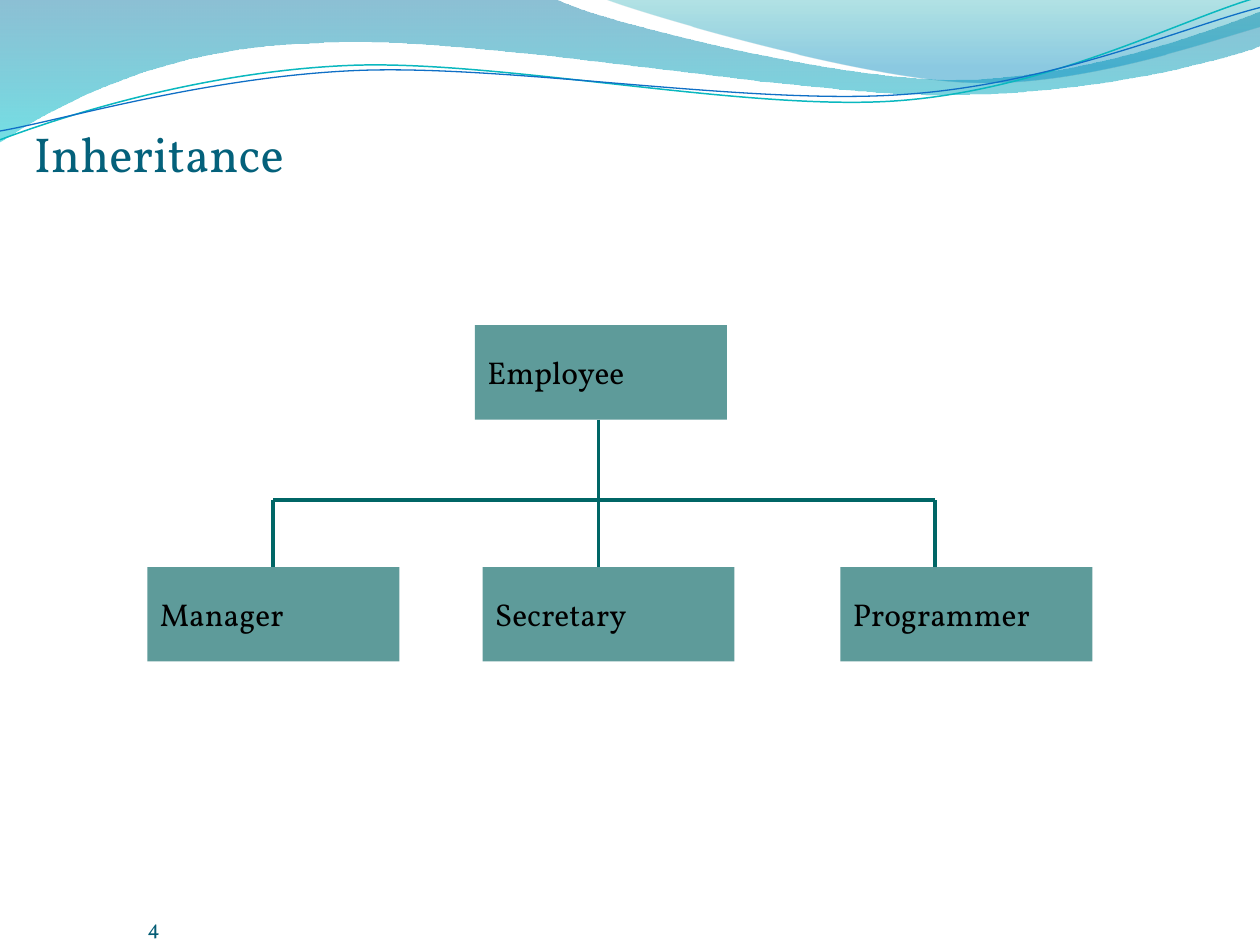
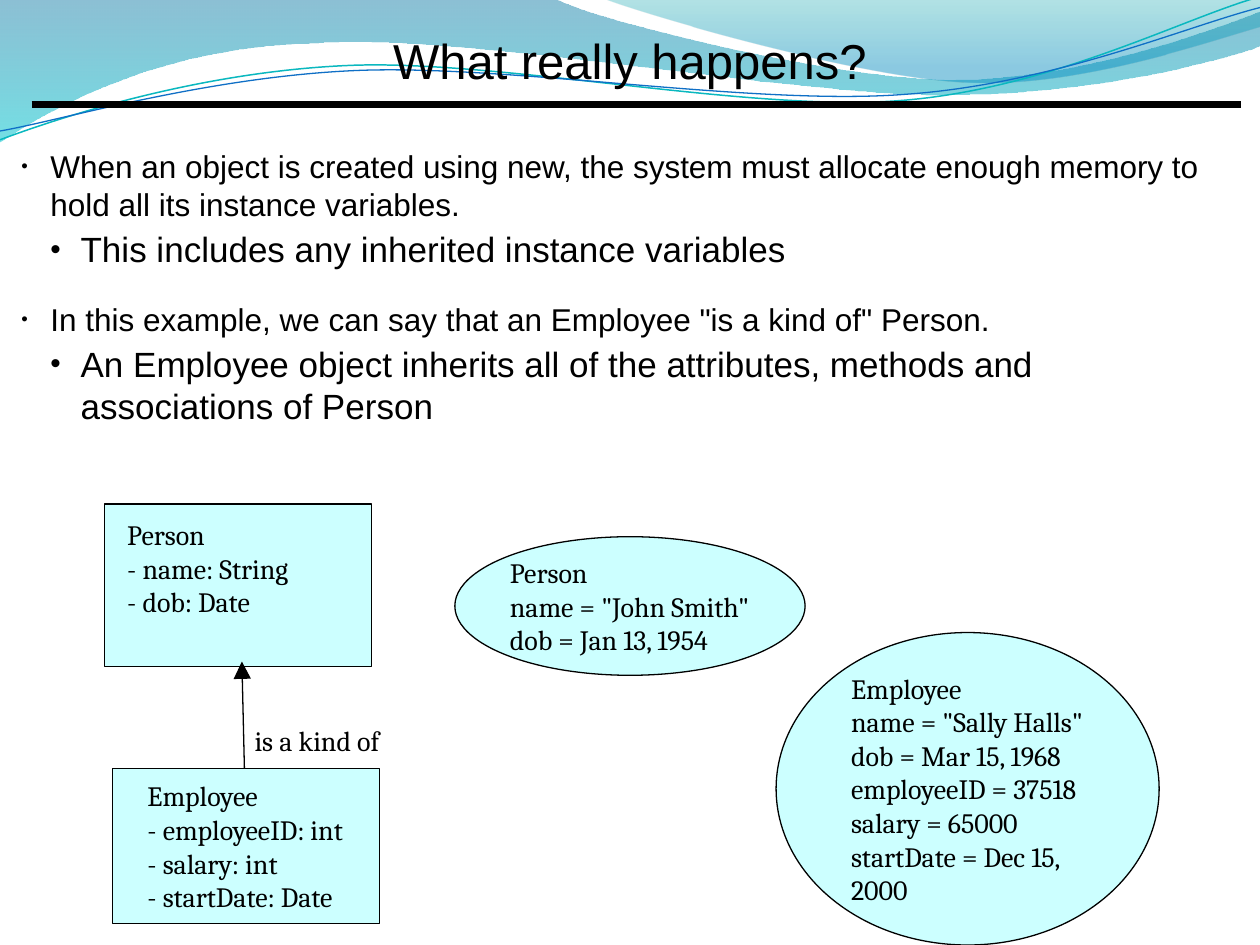
import pptx
import pptx.util
import pptx.dml.color
import pptx.enum.shapes
import pptx.enum.text
import pptx.oxml
import pptx.oxml.ns
import lxml.etree

Inches = pptx.util.Inches
Pt = pptx.util.Pt
RGBColor = pptx.dml.color.RGBColor
MSO_SHAPE = pptx.enum.shapes.MSO_SHAPE
MSO_ANCHOR = pptx.enum.text.MSO_ANCHOR
PP_ALIGN = pptx.enum.text.PP_ALIGN
qn = pptx.oxml.ns.qn

BLACK = RGBColor(0x00, 0x00, 0x00)
TITLE = RGBColor(0x04, 0x61, 0x7B)
NUMBER = RGBColor(0x04, 0x5D, 0x75)
TREE = RGBColor(0x00, 0x66, 0x66)
FACE = RGBColor(0x5E, 0x9B, 0x9A)
PALE = RGBColor(0xCC, 0xFF, 0xFF)
WAVE_BLUE = RGBColor(0x00, 0x74, 0xA1)
WAVE_CYAN = RGBColor(0x00, 0xC6, 0xCF)
WAVE_TEAL = RGBColor(0x00, 0xA1, 0xA9)
WAVE_SKY = RGBColor(0x00, 0x8B, 0xBF)
LINE_TEAL = RGBColor(0x0A, 0xB8, 0xBF)
LINE_BLUE = RGBColor(0x0F, 0x6F, 0xC6)

WAVES = [
    ([(0, 0), (4.4, -0.01), (4.76, 0.17, 6.64, 0.63, 7.58, 0.63),
      (8.53, 0.63, 9.58, 0.26, 10, 0.09), (10.01, 0.36),
      (9.83, 0.44, 8.7, 0.76, 7.46, 0.75), (6.22, 0.75, 3.82, 0.28, 2.57, 0.34),
      (1.29, 0.36, 0.46, 0.83, -0.01, 1.13)],
     [(0, WAVE_BLUE, 45), (1, WAVE_CYAN, 55)]),
    ([(4.79, -0.01), (5.09, 0.11, 6.82, 0.62, 7.69, 0.65),
      (8.56, 0.69, 9.61, 0.32, 10, 0.21), (10, 0)],
     [(0, WAVE_TEAL, 30), (0.8, WAVE_SKY, 45)]),
]
WAVE_LINES = [
    ([(0, 1.11), (0.48, 0.93, 1.58, 0.57, 2.77, 0.52),
      (3.95, 0.47, 5.93, 0.89, 7.13, 0.8), (8.33, 0.71, 9.38, 0.15, 9.98, -0.02)],
     LINE_TEAL, 0.85),
    ([(0, 1.04), (0.47, 0.96, 1.64, 0.61, 2.83, 0.56),
      (4.03, 0.51, 5.97, 0.84, 7.17, 0.75), (8.36, 0.67, 9.41, 0.21, 10, 0.06)],
     LINE_BLUE, 0.75),
]


def outline(s, steps, close):
    steps = [[round(v * 1000) for v in step] for step in steps]
    ends = [step[-2:] for step in steps]
    left, top = min(x for x, y in ends), min(y for x, y in ends)
    fb = s.shapes.build_freeform(*ends[0], scale=Inches(1) / 1000)
    fb.add_line_segments(ends[1:], close=close)
    sp = fb.convert_to_shape()
    sp.shadow.inherit = False
    segments = list(sp._element.spPr.iter(qn("a:lnTo")))
    for segment, step in zip(segments, steps[1:]):
        if len(step) == 6:
            curve = lxml.etree.Element(qn("a:cubicBezTo"))
            for x, y in zip(step[::2], step[1::2]):
                pt = lxml.etree.SubElement(curve, qn("a:pt"))
                pt.set("x", str(x - left))
                pt.set("y", str(y - top))
            segment.getparent().replace(segment, curve)
    return sp


def write(sp, lines, size, font, color=BLACK, anchor=MSO_ANCHOR.TOP, insets=(0, 0, 0, 0)):
    tf = sp.text_frame
    tf.word_wrap = True
    tf.vertical_anchor = anchor
    tf.margin_left, tf.margin_top, tf.margin_right, tf.margin_bottom = map(Inches, insets)
    for i, line in enumerate(lines):
        p = tf.paragraphs[0] if i == 0 else tf.add_paragraph()
        p.alignment = PP_ALIGN.LEFT
        r = p.add_run()
        r.text = line
        r.font.size = Pt(size)
        r.font.name = font
        r.font.color.rgb = color
    return tf


prs = pptx.Presentation()
prs.slide_width = Inches(10)
prs.slide_height = Inches(7.5)
tree = prs.slides.add_slide(prs.slide_layouts[6])
objects = prs.slides.add_slide(prs.slide_layouts[6])

for s in (tree, objects):
    for steps, stops in WAVES:
        sp = outline(s, steps, True)
        sp.line.fill.background()
        sp.fill.gradient()
        sp.fill.gradient_angle = 270
        for stop, (position, color, alpha) in zip(sp.fill.gradient_stops, stops):
            stop.position = position
            stop.color.rgb = color
        for clr, (position, color, alpha) in zip(sp._element.spPr.iter(qn("a:srgbClr")), stops):
            lxml.etree.SubElement(clr, qn("a:alpha")).set("val", str(alpha * 1000))
    for steps, color, width in WAVE_LINES:
        sp = outline(s, steps, False)
        sp.fill.background()
        sp.line.color.rgb = color
        sp.line.width = Pt(width)

sp = tree.shapes.add_textbox(Inches(0.17), Inches(0.95), Inches(9.02), Inches(0.55))
tf = write(sp, ["Inheritance"], 28, "Vollkorn", TITLE, MSO_ANCHOR.BOTTOM, (0.1, 0.05, 0.1, 0.05))
tf.paragraphs[0].line_spacing = 0.9

sp = tree.shapes.add_textbox(Inches(0.17), Inches(7.11), Inches(1.1), Inches(0.35))
tf = write(sp, ["4"], 12, "Vollkorn", NUMBER, MSO_ANCHOR.BOTTOM)
tf.paragraphs[0].alignment = PP_ALIGN.RIGHT

for name, x, y in [("Employee", 3.77, 2.58), ("Secretary", 3.83, 4.5),
                   ("Manager", 1.17, 4.5), ("Programmer", 6.67, 4.5)]:
    sp = tree.shapes.add_shape(MSO_SHAPE.RECTANGLE, Inches(x), Inches(y), Inches(2), Inches(0.75))
    sp.shadow.inherit = False
    sp.fill.solid()
    sp.fill.fore_color.rgb = FACE
    sp.line.fill.background()
    write(sp, [name], 18, "Vollkorn", BLACK, MSO_ANCHOR.MIDDLE, (0.1, 0.05, 0.1, 0.05))

sp = objects.shapes.add_textbox(Inches(3.12), Inches(0.24), Inches(4.02), Inches(0.45))
write(sp, ["What really happens?"], 28, "Arial")

bullets = [
    ("When an object is created using new, the system must allocate enough memory to "
     "hold all its instance variables.", 0, 2.8),
    ("This includes any inherited instance variables", 1, 2.8),
    ('In this example, we can say that an Employee "is a kind of" Person.', 0, 17),
    ("An Employee object inherits all of the attributes, methods and associations of Person",
     1, 2.8),
]
sp = objects.shapes.add_textbox(Inches(0.17), Inches(1.17), Inches(9.37), Inches(2.52))
tf = write(sp, [text for text, level, gap in bullets], 18, "Arial")
for p, (text, level, gap) in zip(tf.paragraphs, bullets):
    p.level = level
    p.space_before = Pt(gap)
    p.runs[0].font.size = Pt((18, 20)[level])
    pPr = p._p.get_or_add_pPr()
    pPr.set("marL", str(Inches((0.23, 0.47)[level])))
    pPr.set("indent", str(-Inches((0.23, 0.24)[level])))
    clr = lxml.etree.SubElement(pPr, qn("a:buClr"))
    lxml.etree.SubElement(clr, qn("a:srgbClr")).set("val", str(BLACK))
    lxml.etree.SubElement(pPr, qn("a:buSzPct")).set("val", ("59000", "85000")[level])
    lxml.etree.SubElement(pPr, qn("a:buFont")).set("typeface", "Arial")
    lxml.etree.SubElement(pPr, qn("a:buChar")).set("char", "•")

RECT, OVAL = MSO_SHAPE.ROUNDED_RECTANGLE, MSO_SHAPE.OVAL
TOP, MIDDLE = MSO_ANCHOR.TOP, MSO_ANCHOR.MIDDLE
for kind, x, y, w, h, anchor, insets, lines in [
    (RECT, 0.83, 4, 2.12, 1.29, TOP, (0.18, 0.11, 0, 0),
     ["Person", "- name: String", "- dob: Date"]),
    (RECT, 0.89, 6.1, 2.12, 1.23, MIDDLE, (0.28, 0, 0, 0),
     ["Employee", "- employeeID: int", "- salary: int", "- startDate: Date"]),
    (OVAL, 3.61, 4.26, 2.78, 1.1, MIDDLE, (0.03, 0, 0, 0),
     ["Person", 'name = "John Smith"', "dob = Jan 13, 1954"]),
    (OVAL, 6.16, 5.02, 3.04, 2.48, MIDDLE, (0.15, 0, 0, 0),
     ["Employee", 'name = "Sally Halls"', "dob = Mar 15, 1968", "employeeID = 37518",
      "salary = 65000", "startDate = Dec 15, 2000"]),
]:
    sp = objects.shapes.add_shape(kind, Inches(x), Inches(y), Inches(w), Inches(h))
    if kind == RECT:
        sp.adjustments[0] = 0
    sp.shadow.inherit = False
    sp.fill.solid()
    sp.fill.fore_color.rgb = PALE
    sp.line.color.rgb = BLACK
    sp.line.width = Pt(0.75)
    write(sp, lines, 16, "Cambria", BLACK, anchor, insets)

sp = objects.shapes.add_textbox(Inches(2.02), Inches(5.74), Inches(1.01), Inches(0.25))
write(sp, ["is a kind of"], 16, "Cambria").word_wrap = False

for s, x1, y1, x2, y2, color, width, head in [
    (tree, 4.75, 3.33, 4.75, 3.97, TREE, 2.25, False),
    (tree, 7.42, 3.97, 2.17, 3.97, TREE, 2.25, False),
    (tree, 2.17, 3.97, 2.17, 4.5, TREE, 2.25, False),
    (tree, 4.75, 3.97, 4.75, 4.5, TREE, 2.25, False),
    (tree, 7.42, 3.97, 7.42, 4.5, TREE, 2.25, False),
    (objects, 0.25, 0.83, 9.85, 0.83, BLACK, 4.31, False),
    (objects, 1.94, 6.1, 1.92, 5.25, BLACK, 0.75, True),
]:
    sp = s.shapes.add_connector(pptx.enum.shapes.MSO_CONNECTOR.STRAIGHT,
                                Inches(x1), Inches(y1), Inches(x2), Inches(y2))
    sp.line.color.rgb = color
    sp.line.width = Pt(width)
    if head:
        tail = lxml.etree.SubElement(sp.line._get_or_add_ln(), qn("a:tailEnd"))
        tail.set("type", "triangle")
        tail.set("w", "lg")
        tail.set("len", "lg")
    lxml.etree.SubElement(sp._element.spPr, qn("a:effectLst"))

prs.save("out.pptx")
